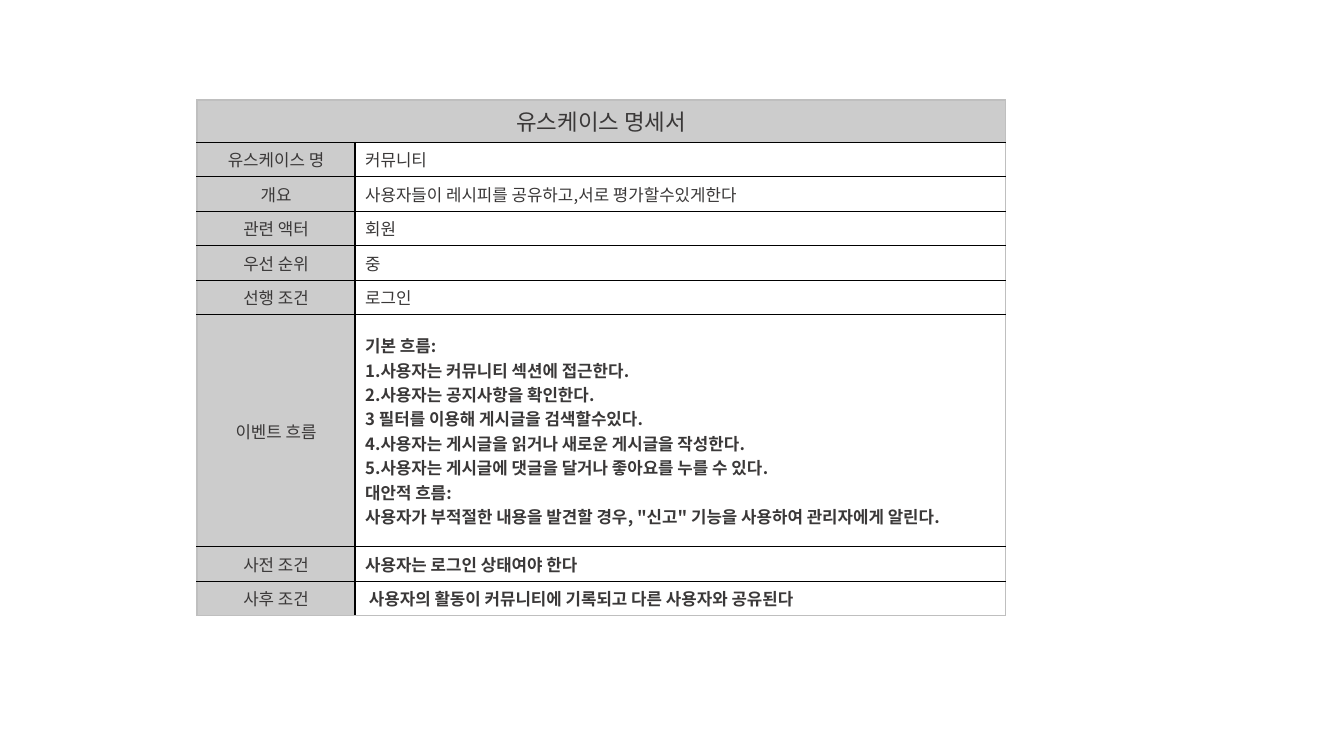
from lxml import etree
from pptx import Presentation, util as u
from pptx.dml.color import RGBColor
from pptx.enum import text
from pptx.oxml.ns import qn

BLACK = RGBColor(0x00, 0x00, 0x00)
INK = RGBColor(0x3A, 0x38, 0x38)
LABEL = RGBColor(0xCC, 0xCC, 0xCC)
FRAME = RGBColor(0xBF, 0xBF, 0xBF)

TITLE = "유스케이스 명세서"
FLOW = [
    "기본 흐름:",
    "1.사용자는 커뮤니티 섹션에 접근한다.",
    "2.사용자는 공지사항을 확인한다.",
    "3 필터를 이용해 게시글을 검색할수있다.",
    "4.사용자는 게시글을 읽거나 새로운 게시글을 작성한다.",
    "5.사용자는 게시글에 댓글을 달거나 좋아요를 누를 수 있다.",
    "대안적 흐름:",
    '사용자가 부적절한 내용을 발견할 경우, "신고" 기능을 사용하여 관리자에게 알린다.',
]
# Label, lines of text, bold
ROWS = [
    ("유스케이스 명", ["커뮤니티"], False),
    ("개요", ["사용자들이 레시피를 공유하고,서로 평가할수있게한다"], False),
    ("관련 액터", ["회원"], False),
    ("우선 순위", ["중"], False),
    ("선행 조건", ["로그인"], False),
    ("이벤트 흐름", FLOW, True),
    ("사전 조건", ["사용자는 로그인 상태여야 한다"], True),
    ("사후 조건", [" 사용자의 활동이 커뮤니티에 기록되고 다른 사용자와 공유된다"], True),
]
COLS = [158, 650]
TITLE_H, ROW_H, FLOW_H = 42, 34, 232


def px(n):
    return u.Emu(round(n * 914400 / 100.8))


def write(tf, lines, size=12, bold=False, align=None, hang=0):
    """Fill a text frame, one paragraph a line."""
    for i, line in enumerate(lines):
        p = tf.paragraphs[0] if i == 0 else tf.add_paragraph()
        if align is not None:
            p.alignment = align
        if hang:
            pPr = p._p.get_or_add_pPr()
            pPr.set("marL", str(px(hang)))
            pPr.set("indent", str(-px(hang)))
        r = p.add_run()
        r.text = line
        r.font.size = u.Pt(size)
        r.font.bold = bold
        r.font.name = Deck.FONT
        r.font.color.rgb = INK
        ea = etree.SubElement(r._r.get_or_add_rPr(), qn("a:ea"))
        ea.set("typeface", Deck.FONT)


class Deck:
    FONT = "Noto Sans CJK KR"

    def __init__(self):
        self.prs = Presentation()
        self.prs.slide_width = u.Inches(13.33)
        self.prs.slide_height = u.Inches(7.5)
        self.s = self.prs.slides.add_slide(self.prs.slide_layouts[6])

    def table(self, x, y, cols, rows):
        shape = self.s.shapes.add_table(len(rows), len(cols), px(x), px(y),
                                        px(sum(cols)), px(sum(rows)))
        tbl = shape.table
        tbl.first_row = tbl.horz_banding = False
        for col, w in zip(tbl.columns, cols):
            col.width = px(w)
        for row, h in zip(tbl.rows, rows):
            row.height = px(h)
        return tbl

    def borders(self, cell, outer):
        """Black rules inside, a pale frame on the outer sides."""
        tcPr = cell._tc.get_or_add_tcPr()
        for side in "LRTB":
            ln = etree.SubElement(tcPr, qn("a:ln" + side), w=str(u.Pt(1)))
            fill = etree.SubElement(ln, qn("a:solidFill"))
            color = FRAME if side in outer else BLACK
            etree.SubElement(fill, qn("a:srgbClr"), val=str(color))

    def cell(self, cell, lines, fill=None, outer="", **fmt):
        self.borders(cell, outer)
        if fill is None:
            cell.fill.background()
        else:
            cell.fill.solid()
            cell.fill.fore_color.rgb = fill
        cell.vertical_anchor = text.MSO_ANCHOR.MIDDLE
        write(cell.text_frame, lines, **fmt)


def main():
    d = Deck()
    center = text.PP_ALIGN.CENTER
    heights = [TITLE_H] + [FLOW_H if lines is FLOW else ROW_H for _, lines, _ in ROWS]
    tbl = d.table(197, 100, COLS, heights)

    # Title row
    tbl.cell(0, 0).merge(tbl.cell(0, 1))
    d.cell(tbl.cell(0, 0), [TITLE], LABEL, "LRT", size=16, align=center)
    d.borders(tbl.cell(0, 1), "LRT")

    # Label and text rows
    for i, (label, lines, bold) in enumerate(ROWS, 1):
        bottom = "B" if i == len(ROWS) else ""
        d.cell(tbl.cell(i, 0), [label], LABEL, "L" + bottom, align=center)
        d.cell(tbl.cell(i, 1), lines, None, "R" + bottom, bold=bold,
               hang=38 if lines is FLOW else 0)

    d.prs.save("out.pptx")


if __name__ == "__main__":
    main()
